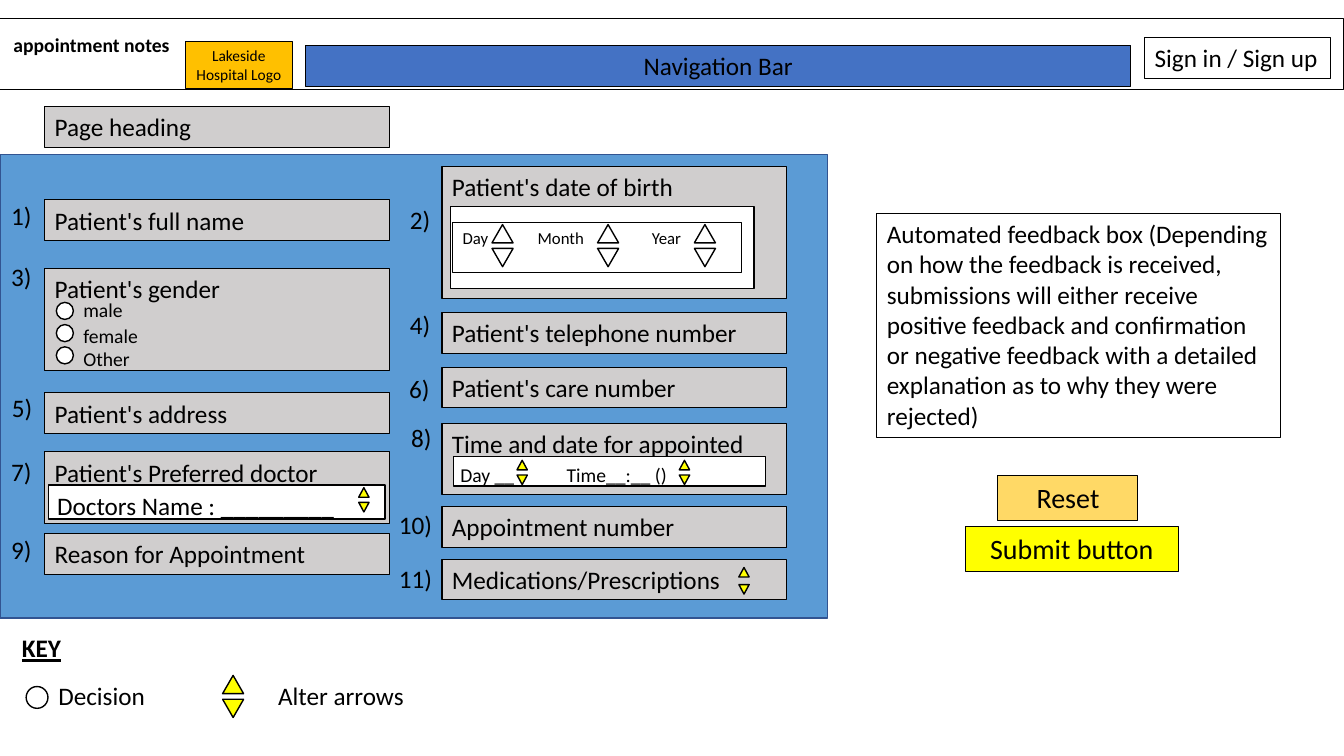
from pptx import Presentation
from pptx.dml.color import RGBColor
from pptx.enum.shapes import MSO_SHAPE
from pptx.enum.text import MSO_ANCHOR, MSO_AUTO_SIZE, PP_ALIGN
from pptx.util import Cm, Pt

RECTANGLE = MSO_SHAPE.RECTANGLE
TRIANGLE = MSO_SHAPE.ISOSCELES_TRIANGLE
CIRCLE = MSO_SHAPE.FLOWCHART_CONNECTOR
LEFT, CENTER = PP_ALIGN.LEFT, PP_ALIGN.CENTER
TOP = MSO_ANCHOR.TOP
NO_AUTOFIT = MSO_AUTO_SIZE.NONE
TITLE_ONLY = 5

BLACK, WHITE, YELLOW, GREY = "000000", "FFFFFF", "FFFF00", "D0CECE"
FONT = "Calibri"
LINE_HEIGHT = 1.03
FIELD_WIDTH = 8.69
LEFT_COLUMN, RIGHT_COLUMN = 1.13, 11.14


def color(hex_string):
    return RGBColor.from_string(hex_string)


def write(shape, text, size=18, align=LEFT, bold=False, underline=False):
    frame = shape.text_frame
    frame.word_wrap = True
    frame.auto_size = NO_AUTOFIT
    frame.vertical_anchor = TOP
    paragraph = frame.paragraphs[0]
    paragraph.alignment = align
    run = paragraph.add_run()
    run.text = text
    font = run.font
    font.name, font.size = FONT, Pt(size)
    font.bold, font.underline = bold, underline
    font.color.rgb = color(BLACK)


class Wireframe:
    def __init__(self, slide):
        self.slide = slide

    def title(self, text, left, top, width, height, **style):
        shape = self.slide.shapes.title
        shape.left, shape.top = Cm(left), Cm(top)
        shape.width, shape.height = Cm(width), Cm(height)
        write(shape, text, **style)

    def shape(self, kind, left, top, width, height, fill=None, line=BLACK, weight=1):
        shape = self.slide.shapes.add_shape(
            kind, Cm(left), Cm(top), Cm(width), Cm(height))
        shape.shadow.inherit = False
        if fill:
            shape.fill.solid()
            shape.fill.fore_color.rgb = color(fill)
        else:
            shape.fill.background()
        shape.line.color.rgb = color(line)
        shape.line.width = Pt(weight)
        return shape

    def box(self, text, left, top, width, height=LINE_HEIGHT, fill=None, **style):
        shape = self.shape(RECTANGLE, left, top, width, height, fill, weight=0.75)
        write(shape, text, **style)

    def label(self, text, left, top, width, **style):
        shape = self.slide.shapes.add_textbox(
            Cm(left), Cm(top), Cm(width), Cm(LINE_HEIGHT))
        write(shape, text, **style)

    def circle(self, left, top, size):
        self.shape(CIRCLE, left, top, size, size, WHITE)

    def arrows(self, left, top, width=0.53, height=0.46, pitch=0.6, fill=YELLOW):
        """Draw an up arrow with a down arrow below it."""
        self.shape(TRIANGLE, left, top, width, height, fill)
        down = self.shape(TRIANGLE, left, top + pitch, width, height, fill)
        down.rotation = 180


def draw_header(wireframe):
    wireframe.title("appointment notes", 0.05, 0.71, 4.52, 0.86,
                    size=14, align=CENTER, bold=True)
    wireframe.box("Navigation Bar", 7.7, 1.14, 20.8, fill="4472C4", align=CENTER)
    wireframe.box("Sign in / Sign up", 28.85, 0.94, 4.67)
    wireframe.shape(RECTANGLE, 0, 0.46, 33.87, 1.8, weight=0.75)
    wireframe.box("Lakeside Hospital Logo", 4.67, 1.04, 2.7, 1.2,
                  fill="FFC000", size=11, align=CENTER)
    wireframe.box("Page heading", LEFT_COLUMN, 2.68, FIELD_WIDTH, fill=GREY)


def draw_fields(wireframe):
    wireframe.shape(RECTANGLE, 0, 3.89, 20.85, 11.68, "5B9BD5", "325491")
    # Number, number left, number top, text, field top, field height
    left_fields = [
        ("1)", 0.03, 4.93, "Patient's full name", 5.04, LINE_HEIGHT),
        ("3)", 0.03, 6.45, "Patient's gender", 6.76, 2.57),
        ("5)", 0.05, 9.75, "Patient's address", 9.9, LINE_HEIGHT),
        ("7)", 0.03, 11.38, "Patient's Preferred doctor", 11.39, 1.8),
        ("9)", 0.03, 13.34, "Reason for Appointment", 13.45, LINE_HEIGHT),
    ]
    right_fields = [
        ("2)", 10.08, 5.03, "Patient's date of birth", 4.19, 3.33),
        ("4)", 10.08, 7.67, "Patient's telephone number", 7.87, LINE_HEIGHT),
        ("6)", 10.06, 9.27, "Patient's care number", 9.25, LINE_HEIGHT),
        ("8)", 10.11, 10.52, "Time and date for appointed", 10.67, 1.8),
        ("10)", 9.8, 12.7, "Appointment number", 12.77, LINE_HEIGHT),
        ("11)", 9.8, 14.07, "Medications/Prescriptions", 14.09, LINE_HEIGHT),
    ]
    for column, fields in ((LEFT_COLUMN, left_fields), (RIGHT_COLUMN, right_fields)):
        for number, number_left, number_top, text, top, height in fields:
            wireframe.box(text, column, top, FIELD_WIDTH, height, fill=GREY)
            wireframe.label(number, number_left, number_top, 1.4)


def draw_field_controls(wireframe):
    small = {"width": 0.26, "height": 0.24, "pitch": 0.37}

    wireframe.shape(RECTANGLE, 11.35, 5.2, 7.65, 2.07, WHITE)
    wireframe.shape(RECTANGLE, 11.41, 5.61, 7.29, 1.27, weight=0.75)
    for part, left, arrow_left in (("Day", 11.41, 12.4), ("Month", 13.3, 15.06),
                                   ("Year", 16.18, 17.5)):
        wireframe.label(part, left, 5.61, 2, size=12)
        wireframe.arrows(arrow_left, 5.66, fill=WHITE)

    wireframe.shape(RECTANGLE, 11.43, 11.51, 7.87, 0.74, WHITE)
    for part, left, arrow_left in (("Day __", 11.35, 13.03),
                                   ("Time__:__ ()", 14.03, 17.12)):
        wireframe.label(part, left, 11.53, 3.4, size=14)
        wireframe.arrows(arrow_left, 11.6, **small)

    wireframe.shape(RECTANGLE, 1.22, 12.22, 8.48, 0.86, WHITE)
    wireframe.label("Doctors Name : _________", 1.19, 12.22, 7.62)
    wireframe.arrows(9.04, 12.29, **small)
    wireframe.arrows(18.62, 14.3, **small | {"pitch": 0.43})

    for index, (gender, top) in enumerate(
            (("male", 7.39), ("female", 8.03), ("Other", 8.61))):
        wireframe.circle(1.42, 7.62 + 0.56 * index, 0.43)
        wireframe.label(gender, 1.85, top, 2.2, size=14)


def draw_feedback(wireframe):
    wireframe.box(
        "Automated feedback box (Depending on how the feedback is received, "
        "submissions will either receive positive feedback and confirmation or "
        "negative feedback with a detailed explanation as to why they were rejected)",
        22.1, 5.38, 10.16, 5.64)
    wireframe.box("Reset", 25.15, 11.99, 3.53, 1.12,
                  fill="FFD966", size=20, align=CENTER)
    wireframe.box("Submit button", 24.33, 13.28, 5.36, 1.12,
                  fill=YELLOW, size=20, align=CENTER)


def draw_key(wireframe):
    wireframe.label("KEY", 0.3, 15.82, 1.65, bold=True, underline=True)
    wireframe.circle(0.66, 17.3, 0.55)
    wireframe.label("Decision", 1.22, 17.02, 3.81)
    wireframe.arrows(5.61, 17.02)
    wireframe.label("Alter arrows", 6.76, 17.02, 4.06)


def main():
    presentation = Presentation()
    presentation.slide_width, presentation.slide_height = Cm(33.87), Cm(19.05)
    slide = presentation.slides.add_slide(presentation.slide_layouts[TITLE_ONLY])
    wireframe = Wireframe(slide)
    draw_header(wireframe)
    draw_fields(wireframe)
    draw_field_controls(wireframe)
    draw_feedback(wireframe)
    draw_key(wireframe)
    presentation.save("out.pptx")


if __name__ == "__main__":
    main()
